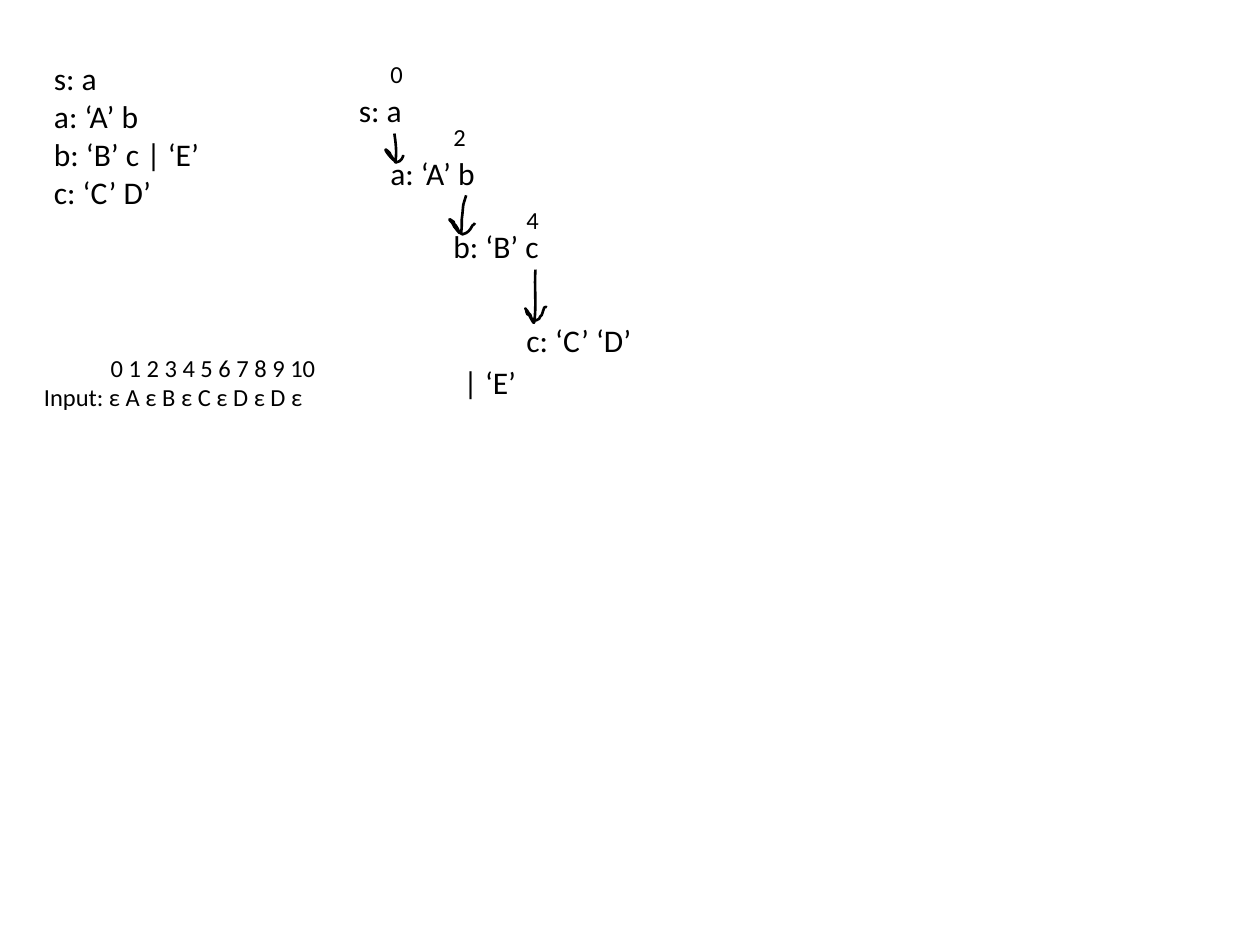
from dataclasses import dataclass

from lxml import etree
from pptx import Presentation
from pptx.dml.color import RGBColor
from pptx.enum.text import MSO_AUTO_SIZE
from pptx.oxml.ns import qn
from pptx.util import Inches, Pt

FIT_SHAPE = MSO_AUTO_SIZE.SHAPE_TO_FIT_TEXT
BLANK_LAYOUT = 6


@dataclass(frozen=True)
class Theme:
    font: str = "Calibri"
    ink: RGBColor = RGBColor(0, 0, 0)
    rule_size: int = 18
    index_size: int = 14
    stroke: float = 1.5


class GrammarSlide:
    def __init__(self, slide, theme):
        self.slide = slide
        self.theme = theme

    def text(self, left, top, width, height, lines, size):
        box = self.slide.shapes.add_textbox(
            Inches(left), Inches(top), Inches(width), Inches(height))
        frame = box.text_frame
        frame.word_wrap = True
        frame.auto_size = FIT_SHAPE
        frame.text = "\n".join(lines)
        for paragraph in frame.paragraphs:
            for run in paragraph.runs:
                run.font.name = self.theme.font
                run.font.size = Pt(size)
                run.font.color.rgb = self.theme.ink
        return box

    def pen_stroke(self, start, segments):
        """Each segment is (x, y) for a line or three points for a curve."""
        points = [(Inches(x), Inches(y)) for segment in segments
                  for x, y in zip(segment[::2], segment[1::2])]
        builder = self.slide.shapes.build_freeform(*map(Inches, start))
        builder.add_line_segments(points, close=False)
        shape = builder.convert_to_shape()
        self.bend(shape, segments)
        shape.shadow.inherit = False
        shape.fill.background()
        shape.line.color.rgb = self.theme.ink
        shape.line.width = Pt(self.theme.stroke)

    @staticmethod
    def bend(shape, segments):
        """Join the three line points of each curve into one cubic segment."""
        lines = iter(list(shape._element.iter(qn("a:lnTo"))))
        for segment in segments:
            first = next(lines)
            if len(segment) == 6:
                curve = etree.Element(qn("a:cubicBezTo"))
                first.addprevious(curve)
                for line in (first, next(lines), next(lines)):
                    curve.append(line[0])
                    line.getparent().remove(line)


GRAMMAR = ["s: a", "a: ‘A’ b", "b: ‘B’ c | ‘E’", "c: ‘C’ D’"]
INPUT = ["0 1 2 3 4 5 6 7 8 9 10", "Input: ε A ε B ε C ε D ε D ε"]

# Left, top, width, height, wording
DERIVATION = [
    (2.75, 0.67, 0.75, 0.42, "s: a"),
    (3, 1.17, 0.92, 0.4, "a: ‘A’ b"),
    (3.5, 1.75, 0.92, 0.4, "b: ‘B’ c"),
    (4.08, 2.5, 1.33, 0.4, "c: ‘C’ ‘D’"),
    (3.58, 2.83, 1.33, 0.4, "| ‘E’"),
]
POSITIONS = [(3, 0.42, "0"), (3.5, 0.92, "2"), (4.08, 1.58, "4")]

# Hand-drawn arrows: start point, then the segments of the stroke
ARROWS = [
    ((3.13, 1.06), [
        (3.14, 1.13, 3.15, 1.2, 3.14, 1.27),
        (3.14, 1.31, 3.01, 1.14, 3.08, 1.2),
        (3.09, 1.21, 3.1, 1.22, 3.1, 1.23),
        (3.14, 1.29),
        (3.17, 1.28, 3.18, 1.28, 3.19, 1.26),
        (3.2, 1.25, 3.2, 1.23, 3.2, 1.23),
    ]),
    ((3.7, 1.55), [
        (3.67, 1.65, 3.68, 1.6, 3.67, 1.7),
        (3.66, 1.75, 3.67, 1.8, 3.66, 1.85),
        (3.65, 1.86, 3.64, 1.84, 3.63, 1.83),
        (3.61, 1.81, 3.6, 1.79, 3.59, 1.77),
        (3.58, 1.76, 3.56, 1.74, 3.57, 1.74),
        (3.6, 1.76),
        (3.63, 1.84, 3.59, 1.74, 3.63, 1.81),
        (3.66, 1.86, 3.61, 1.82, 3.67, 1.86),
        (3.68, 1.85, 3.69, 1.85, 3.7, 1.85),
        (3.73, 1.83, 3.74, 1.81, 3.75, 1.79),
        (3.76, 1.78, 3.77, 1.78, 3.77, 1.77),
    ]),
    ((4.25, 2.14), [
        (4.24, 2.28, 4.26, 2.42, 4.24, 2.56),
        (4.24, 2.58, 4.21, 2.52, 4.2, 2.5),
        (4.19, 2.5, 4.18, 2.49, 4.18, 2.48),
        (4.18, 2.47, 4.17, 2.44, 4.17, 2.45),
        (4.2, 2.48, 4.18, 2.47, 4.21, 2.5),
        (4.21, 2.51, 4.22, 2.54, 4.24, 2.54),
        (4.25, 2.55, 4.26, 2.54, 4.28, 2.53),
        (4.28, 2.52, 4.29, 2.51, 4.3, 2.5),
        (4.3, 2.49, 4.31, 2.48, 4.31, 2.47),
        (4.32, 2.46, 4.32, 2.45, 4.32, 2.44),
        (4.33, 2.43, 4.34, 2.44, 4.34, 2.44),
    ]),
]


def main():
    theme = Theme()
    presentation = Presentation()
    presentation.slide_width = Inches(10)
    presentation.slide_height = Inches(7.5)
    layout = presentation.slide_layouts[BLANK_LAYOUT]
    page = GrammarSlide(presentation.slides.add_slide(layout), theme)

    # Grammar rules and their derivation
    page.text(0.33, 0.42, 1.67, 1.31, GRAMMAR, theme.rule_size)
    for left, top, width, height, rule in DERIVATION:
        page.text(left, top, width, height, [rule], theme.rule_size)
    for start, segments in ARROWS:
        page.pen_stroke(start, segments)

    # Input with its position numbers, indented to start above the first symbol
    input_box = page.text(0.25, 2.75, 2.92, 0.57, INPUT, theme.index_size)
    index_row = input_box.text_frame.paragraphs[0]
    index_row._p.get_or_add_pPr().set("marL", str(Inches(0.53)))

    # Input position reached at each step
    for left, top, position in POSITIONS:
        page.text(left, top, 0.33, 0.33, [position], theme.index_size)

    presentation.save("out.pptx")


if __name__ == "__main__":
    main()
